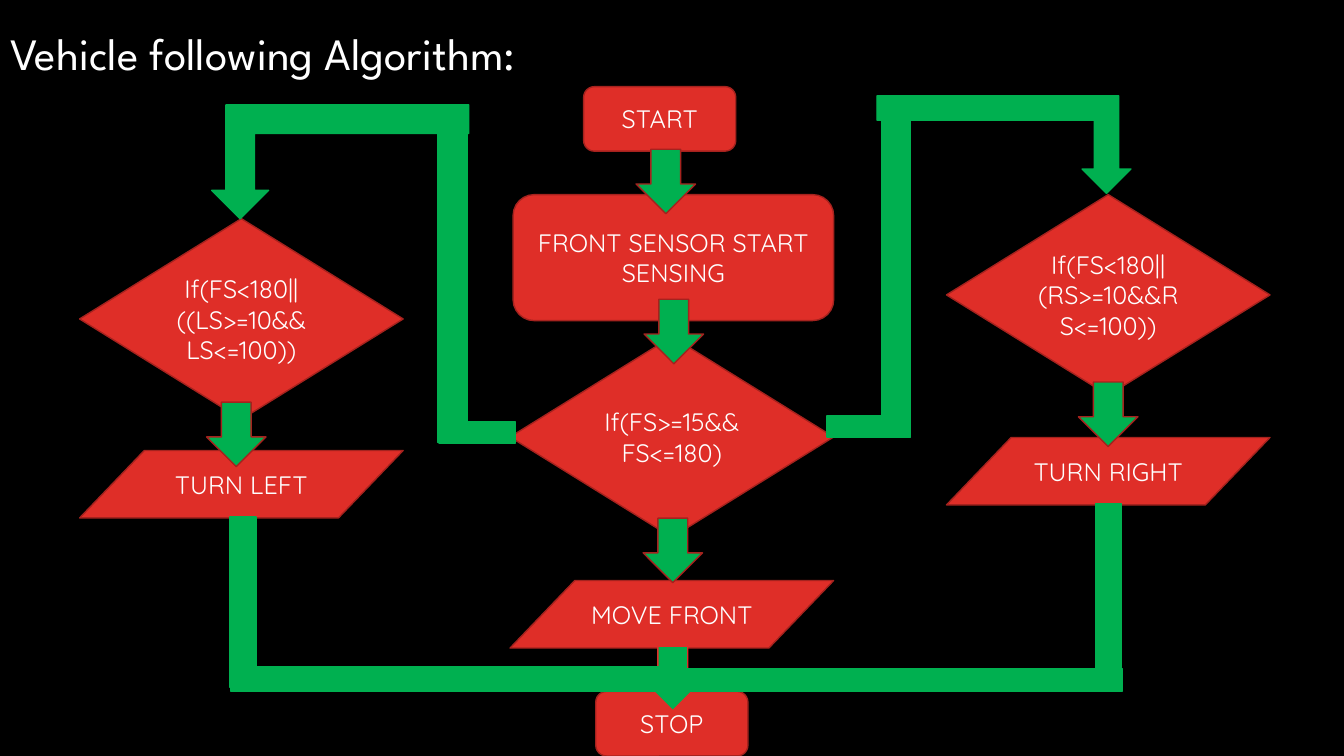
from pptx import Presentation
from pptx.dml.color import RGBColor
from pptx.enum.shapes import MSO_SHAPE
from pptx.enum.text import MSO_ANCHOR, MSO_AUTO_SIZE, PP_ALIGN
from pptx.util import Pt

# Content: all lengths in points
TITLE = "Vehicle following Algorithm:"

LEFT, MIDDLE, RIGHT = 172.4, 479.9, 791.6  # column centres

KINDS = {  # preset shape, width, height
    "terminal": (MSO_SHAPE.ROUNDED_RECTANGLE, 108.7, 46.1),
    "process": (MSO_SHAPE.ROUNDED_RECTANGLE, 229, 90),
    "decision": (MSO_SHAPE.DIAMOND, 231.1, 143.3),
    "action": (MSO_SHAPE.FLOWCHART_DATA, 231.1, 48.2),
}
STEPS = [  # kind, centre x, top, text
    ("terminal", 471.2, 61.9, "START"),
    ("process", 481, 139, "FRONT SENSOR START SENSING"),
    ("decision", MIDDLE, 240.5, "If(FS>=15&&FS<=180)"),
    ("action", MIDDLE, 414.7, "MOVE FRONT"),
    ("action", RIGHT, 312.5, "TURN RIGHT"),
    ("decision", RIGHT, 139, "If(FS<180||(RS>=10&&RS<=100))"),
    ("decision", LEFT, 156.2, "If(FS<180||((LS>=10&&LS<=100))"),
    ("action", LEFT, 321.8, "TURN LEFT"),
    ("terminal", MIDDLE, 493.9, "STOP"),
]
ARROW_W, ARROW_H = 42.5, 46.1
ARROWS = [  # centre x, top, outline
    (475.6, 106.6, "edge"),
    (168.8, 287.3, "edge"),
    (481.3, 213.8, "edge"),
    (RIGHT, 272.9, "edge"),
    (480.6, 370.1, "edge"),
    (480.6, 461.5, "box"),
]
BARS = [  # left, top, width, height
    (782.6, 360, 18.7, 121.7),     # down from TURN RIGHT
    (490, 477.7, 311.8, 15.8),     # right side into STOP
    (164.2, 369.4, 18.7, 121.7),   # down from TURN LEFT
    (164.5, 476.3, 307.4, 17.3),   # left side into STOP
    (312.5, 75.6, 21.6, 240.5),    # up to the left branch
    (630, 72, 20.2, 240.5),        # up to the right branch
    (590.8, 297, 54.7, 15.1),      # out of the middle decision, right
    (313.6, 301.3, 54.7, 15.1),    # out of the middle decision, left
]
BENDS = [  # left, top, width, height, mirrored
    (151.2, 74.9, 183.6, 81.4, False),
    (626.4, 68.4, 181.4, 69.8, True),
]

THEME = {
    "back": "000000", "text": "FFFFFF", "box": "DF2E28", "edge": "A5221E",
    "flow": "00B050", "head_font": "League Spartan", "body_font": "Quicksand",
    "head_size": 32, "body_size": 18,
}


def color(name):
    return RGBColor.from_string(THEME[name])


def write(tf, text, font, size, align):
    p = tf.paragraphs[0]
    p.alignment = align
    r = p.add_run()
    r.text = text
    r.font.name = THEME[font]
    r.font.size = Pt(THEME[size])
    r.font.color.rgb = color("text")


def draw(slide, preset, box, fill, line):
    sp = slide.shapes.add_shape(preset, *[Pt(v) for v in box])
    sp.shadow.inherit = False
    sp.fill.solid()
    sp.fill.fore_color.rgb = color(fill)
    sp.line.color.rgb = color(line)
    sp.line.width = Pt(1)
    return sp


def main():
    prs = Presentation()
    prs.slide_width, prs.slide_height = Pt(960), Pt(540)
    s = prs.slides.add_slide(prs.slide_layouts[5])
    s.background.fill.solid()
    s.background.fill.fore_color.rgb = color("back")

    # Title
    title = s.shapes.title
    title.left, title.top, title.width, title.height = Pt(0), Pt(15.1), Pt(450), Pt(46.1)
    tf = title.text_frame
    tf.word_wrap = False
    tf.auto_size = MSO_AUTO_SIZE.SHAPE_TO_FIT_TEXT
    tf.vertical_anchor = MSO_ANCHOR.TOP
    write(tf, TITLE, "head_font", "head_size", PP_ALIGN.LEFT)

    # Flowchart steps
    for kind, x, top, text in STEPS:
        preset, w, h = KINDS[kind]
        sp = draw(s, preset, (x - w / 2, top, w, h), "box", "edge")
        tf = sp.text_frame
        tf.word_wrap = True
        tf.vertical_anchor = MSO_ANCHOR.MIDDLE
        write(tf, text, "body_font", "body_size", PP_ALIGN.CENTER)

    # Arrows between steps
    for x, top, line in ARROWS:
        box = (x - ARROW_W / 2, top, ARROW_W, ARROW_H)
        draw(s, MSO_SHAPE.DOWN_ARROW, box, "flow", line)

    # Branch and return paths
    for box in BARS:
        draw(s, MSO_SHAPE.RECTANGLE, box, "flow", "flow")
    for *box, mirrored in BENDS:
        sp = draw(s, MSO_SHAPE.BENT_UP_ARROW, box, "flow", "flow")
        sp.rotation = 180
        if mirrored:
            sp.element.spPr.xfrm.set("flipH", "1")

    prs.save("out.pptx")


if __name__ == "__main__":
    main()
